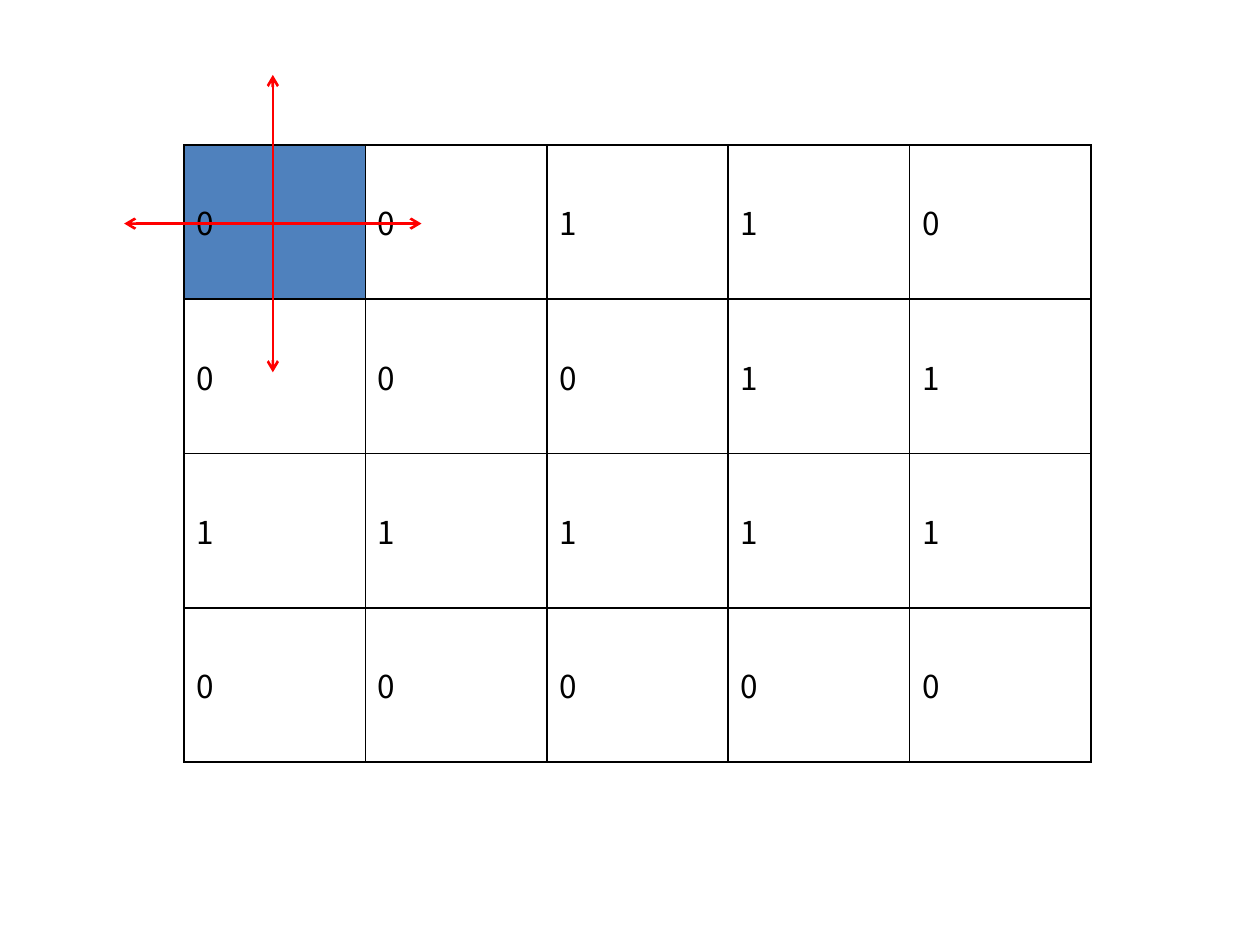
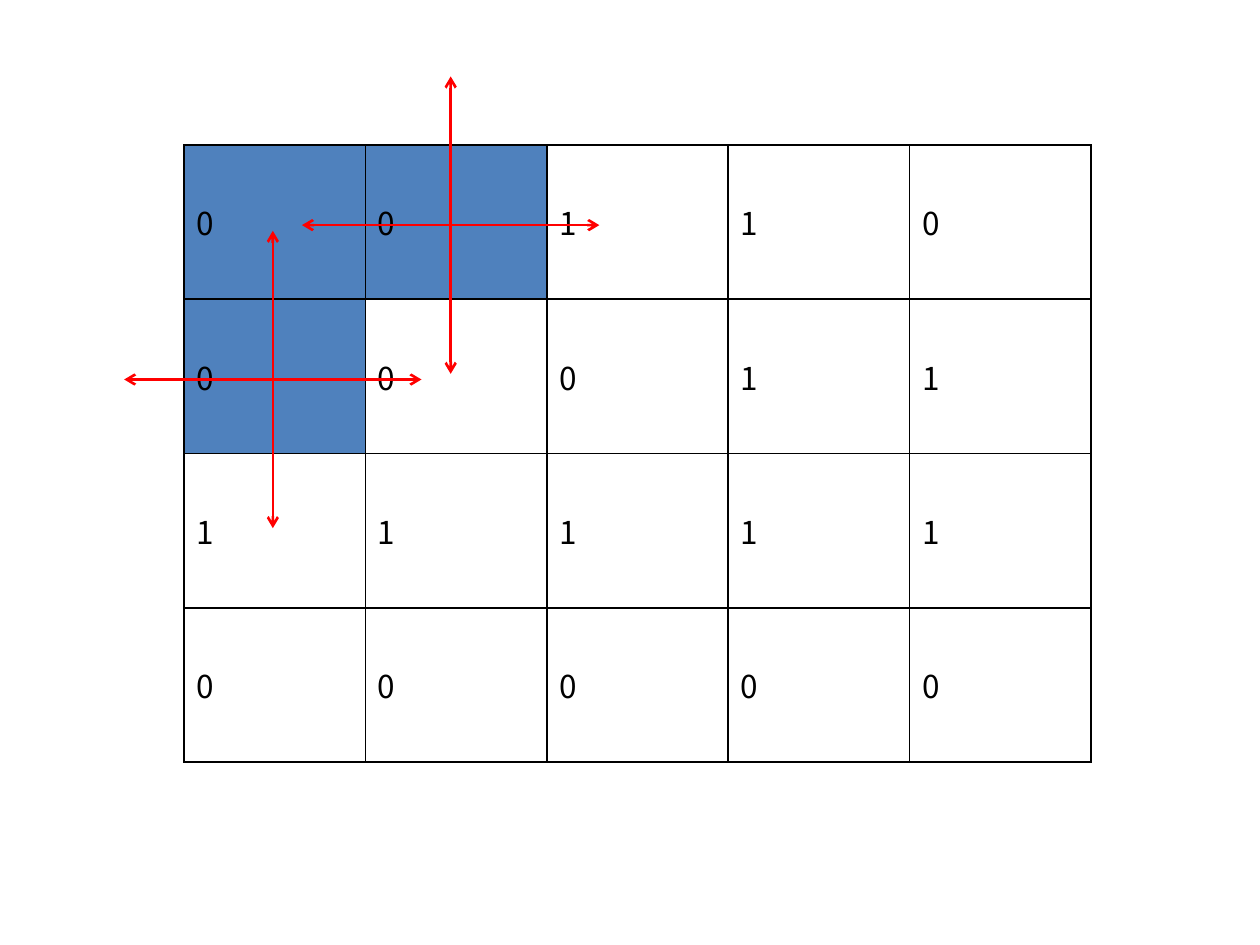
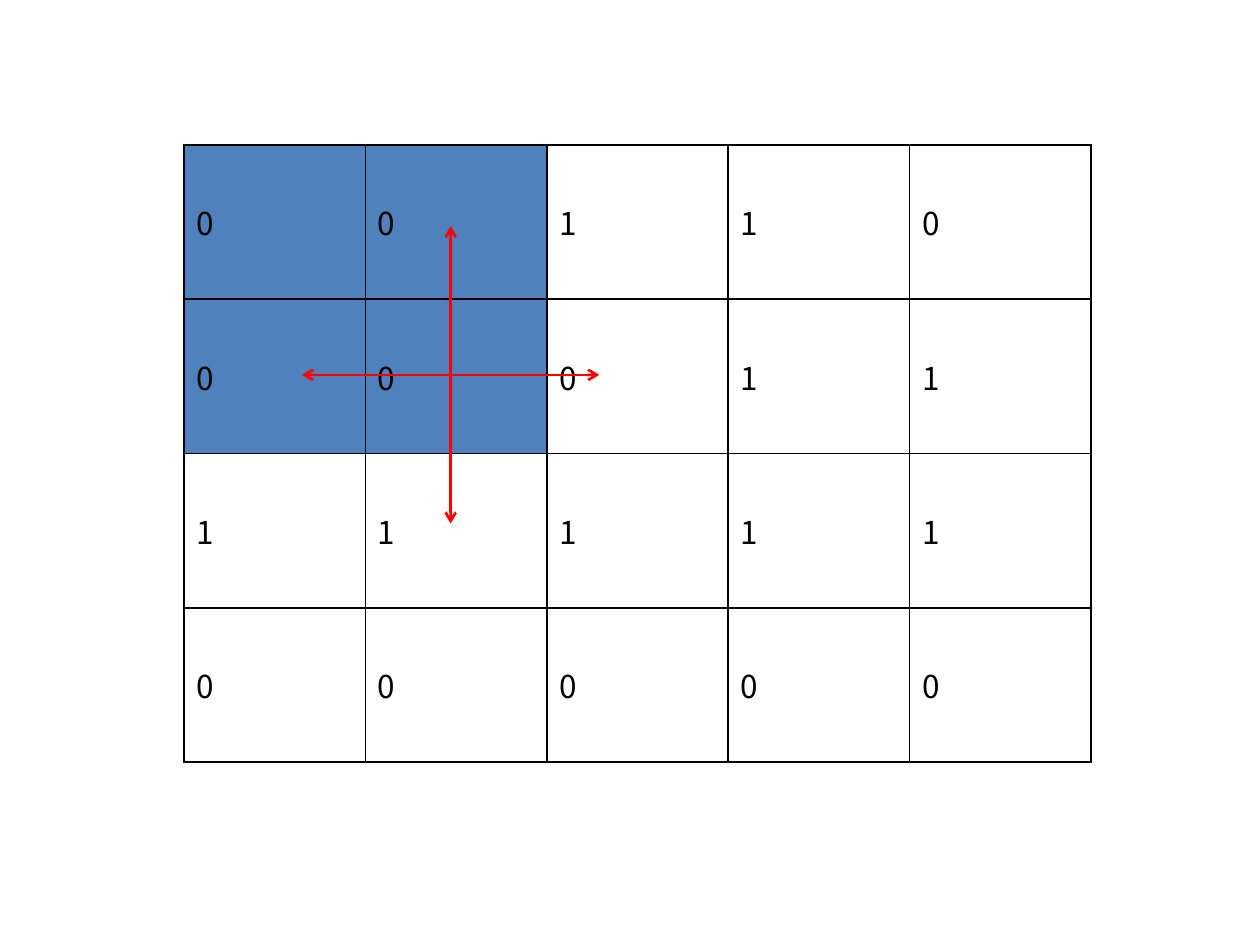
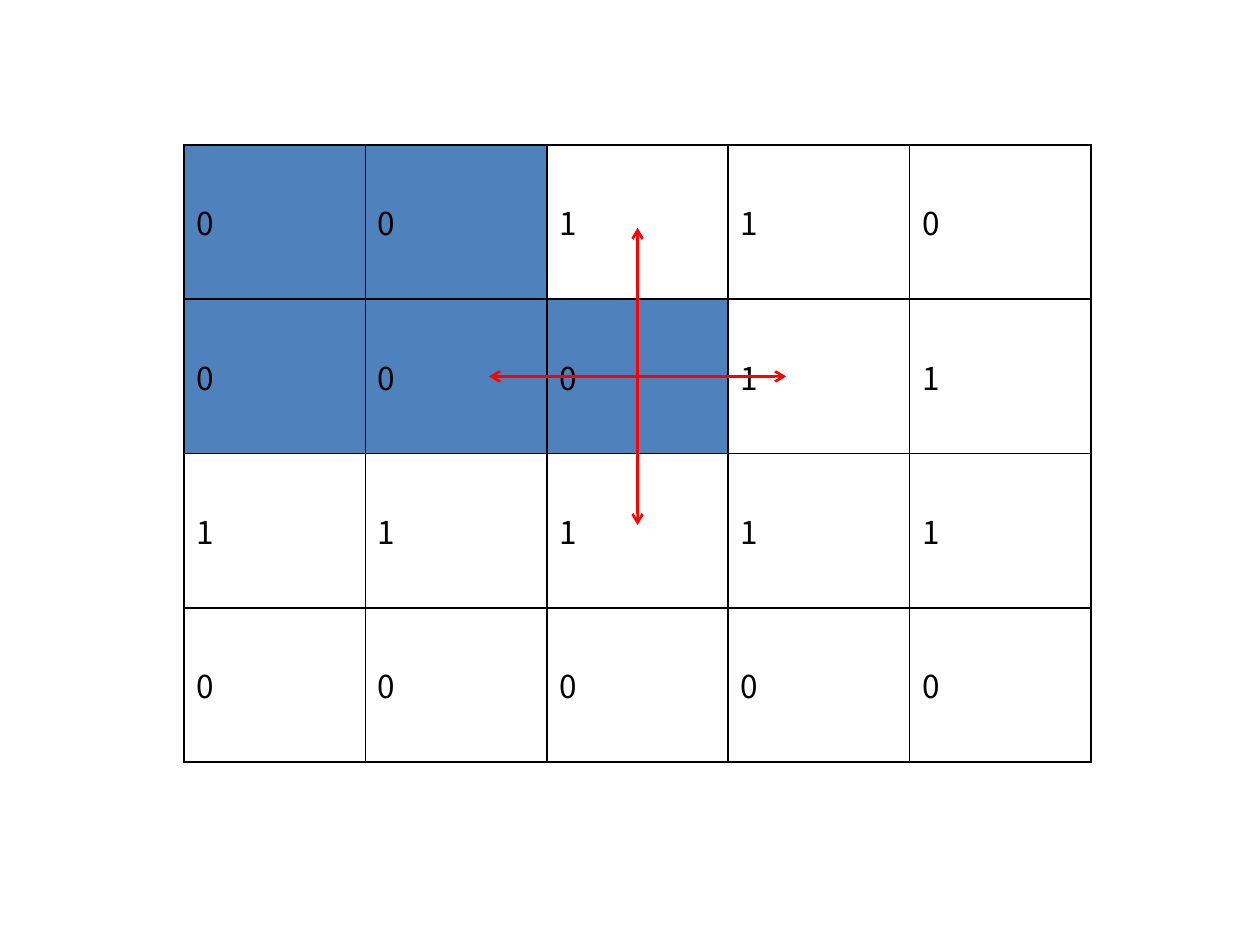
from dataclasses import dataclass

from pptx import Presentation
from pptx.dml.color import RGBColor as RGB
from pptx.enum.shapes import MSO_CONNECTOR as CONN
from pptx.enum.text import MSO_ANCHOR as ANCHOR, PP_ALIGN as ALIGN
from pptx.oxml import parse_xml
from pptx.oxml.ns import nsdecls, qn
from pptx.util import Inches, Pt


@dataclass(frozen=True)
class Theme:
    """Colours, type, line widths and the grid that all slides share."""
    visited: str = "4F81BD"
    ink: str = "000000"
    arrow: str = "FF0000"
    font: str = "Noto Sans CJK KR"
    size: float = 18
    border_pt: float = 1
    arrow_pt: float = 1.5
    left: float = 1.46
    top: float = 1.15
    col: float = 1.44
    row: float = 1.225
    reach: float = 1.18
    table_style: str = "{5940675A-B579-460E-94D1-54222C63F5DA}"


MAZE = ["00110", "00011", "11111", "00000"]

# Each step: visited cells as (row, column), and the crosses' centres
# in columns and rows of the maze grid.
STEPS = [
    ([(0, 0)], [(0.49, 0.51)]),
    ([(0, 0), (0, 1), (1, 0)], [(1.47, 0.52), (0.49, 1.52)]),
    ([(0, 0), (0, 1), (1, 0), (1, 1)], [(1.47, 1.49)]),
    ([(0, 0), (0, 1), (1, 0), (1, 1), (1, 2)], [(2.5, 1.5)]),
]


class Deck:
    """Holds the presentation, the theme and the current slide."""

    def __init__(self, theme):
        """Start an empty 10 by 7.5 inch presentation."""
        self.theme = theme
        self.prs = Presentation()
        self.prs.slide_width, self.prs.slide_height = Inches(10), Inches(7.5)
        self.slide = None

    def new_slide(self):
        """Add a blank slide and make it current."""
        self.slide = self.prs.slides.add_slide(self.prs.slide_layouts[6])

    def x(self, cols):
        """Horizontal place of a column count."""
        return Inches(self.theme.left + cols * self.theme.col)

    def y(self, rows):
        """Vertical place of a row count."""
        return Inches(self.theme.top + rows * self.theme.row)

    def maze(self, rows, visited):
        """Draw the maze as a table and fill the visited cells."""
        t = self.theme
        n_rows, n_cols = len(rows), len(rows[0])
        frame = self.slide.shapes.add_table(
            n_rows, n_cols, self.x(0), self.y(0),
            Inches(n_cols * t.col), Inches(n_rows * t.row))
        for style in frame.element.iter(qn("a:tableStyleId")):
            style.text = t.table_style
        table = frame.table
        table.first_row = table.horz_banding = False
        for col in table.columns:
            col.width = Inches(t.col)
        for i, row in enumerate(rows):
            table.rows[i].height = Inches(t.row)
            for j, value in enumerate(row):
                self.cell(table.cell(i, j), value, (i, j) in visited)

    def cell(self, cell, value, filled):
        """Write one maze cell with its fill and borders."""
        t = self.theme
        cell.vertical_anchor = ANCHOR.MIDDLE
        p = cell.text_frame.paragraphs[0]
        p.alignment = ALIGN.JUSTIFY
        r = p.add_run()
        r.text = value
        for name, val in {"name": t.font, "size": Pt(t.size)}.items():
            setattr(r.font, name, val)
        r.font.color.rgb = RGB.from_string(t.ink)
        if filled:
            cell.fill.solid()
            cell.fill.fore_color.rgb = RGB.from_string(t.visited)
        else:
            cell.fill.background()
        props = cell._tc.get_or_add_tcPr()
        for k, side in enumerate("LRTB"):
            props.insert(k, parse_xml(
                f'<a:ln{side} {nsdecls("a")} w="{Pt(t.border_pt)}">'
                f'<a:solidFill><a:srgbClr val="{t.ink}"/></a:solidFill>'
                f'</a:ln{side}>'))

    def arrow(self, x1, y1, x2, y2):
        """Draw a line with an arrowhead at both ends."""
        t = self.theme
        sp = self.slide.shapes.add_connector(CONN.STRAIGHT, x1, y1, x2, y2)
        sp.line.width = Pt(t.arrow_pt)
        sp.line.color.rgb = RGB.from_string(t.arrow)
        ln = sp.line._get_or_add_ln()
        for end in ("head", "tail"):
            ln.append(parse_xml(f'<a:{end}End {nsdecls("a")} type="arrow"/>'))
        sp.element.spPr.append(parse_xml(f'<a:effectLst {nsdecls("a")}/>'))

    def cross(self, col, row):
        """Draw arrows to the four neighbours of a grid place."""
        x, y, d = self.x(col), self.y(row), Inches(self.theme.reach)
        self.arrow(x - d, y, x + d, y)
        self.arrow(x, y + d, x, y - d)


def main():
    """Build one slide for each search step and save."""
    deck = Deck(Theme())
    for visited, centres in STEPS:
        deck.new_slide()
        deck.maze(MAZE, visited)
        for centre in centres:
            deck.cross(*centre)
    deck.prs.save("out.pptx")


main()
